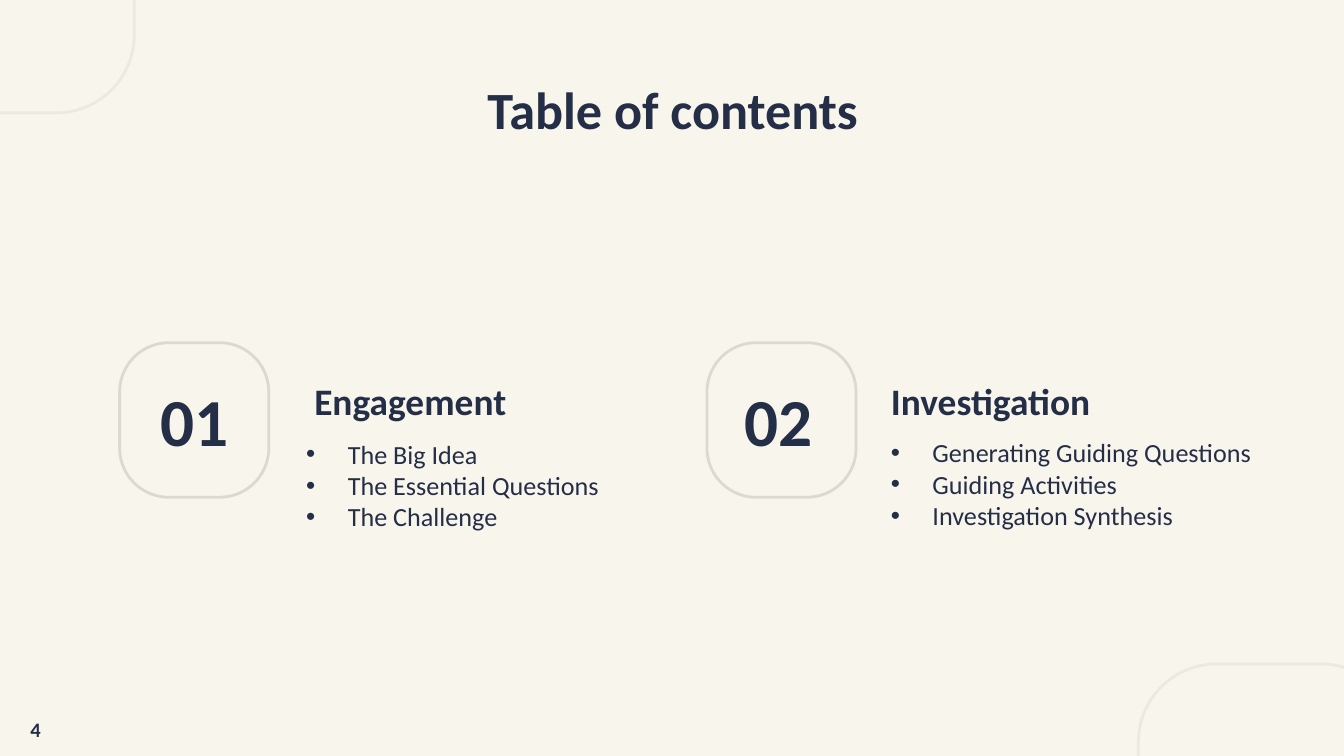
"""Build a table of contents slide with two numbered sections."""
import pptx
import pptx.dml.color
import pptx.enum.shapes
import pptx.enum.text
import pptx.oxml
import pptx.oxml.ns
import pptx.util

Inches = pptx.util.Inches
ALIGN = pptx.enum.text.PP_ALIGN
ANCHOR = pptx.enum.text.MSO_ANCHOR

CREAM = pptx.dml.color.RGBColor(0xF8, 0xF5, 0xEC)
PALE = pptx.dml.color.RGBColor(0xEC, 0xE9, 0xE1)
SAND = pptx.dml.color.RGBColor(0xDA, 0xDA, 0xCE)
NAVY = pptx.dml.color.RGBColor(0x25, 0x2E, 0x47)

NAMESPACE = pptx.oxml.ns.nsdecls("a")
BULLET_PARTS = [
    f'<a:buClr {NAMESPACE}><a:srgbClr val="{NAVY}"/></a:buClr>',
    f'<a:buFont {NAMESPACE} typeface="Arial"/>',
    f'<a:buChar {NAMESPACE} char="•"/>',
]


def add_outline(area, rounding, color):
    box = page.shapes.add_shape(
        pptx.enum.shapes.MSO_SHAPE.ROUNDED_RECTANGLE, *map(Inches, area))
    box.adjustments[0] = rounding
    box.shadow.inherit = False
    box.fill.background()
    box.line.color.rgb = color
    box.line.width = pptx.util.Pt(1.5)


def add_text(area, lines, size, bold=True, align=ALIGN.CENTER,
             anchor=ANCHOR.MIDDLE, bullets=False):
    box = page.shapes.add_textbox(*map(Inches, area))
    frame = box.text_frame
    frame_format = {"word_wrap": True, "vertical_anchor": anchor}
    for side in ("left", "top", "right", "bottom"):
        frame_format[f"margin_{side}"] = Inches(0.1)
    for name, value in frame_format.items():
        setattr(frame, name, value)
    font_format = {"name": "Calibri", "size": pptx.util.Pt(size), "bold": bold}
    for index, line in enumerate(lines):
        para = frame.add_paragraph() if index else frame.paragraphs[0]
        para.alignment = align
        if bullets:
            settings = para._p.get_or_add_pPr()
            settings.set("marL", str(Inches(0.31)))
            settings.set("indent", str(-Inches(0.31)))
            for part in BULLET_PARTS:
                settings.append(pptx.oxml.parse_xml(part))
        span = para.add_run()
        span.text = line
        for name, value in font_format.items():
            setattr(span.font, name, value)
        span.font.color.rgb = NAVY


deck = pptx.Presentation()
deck.slide_width = Inches(10)
deck.slide_height = deck.slide_width * 9 // 16
page = deck.slides.add_slide(deck.slide_layouts[6])
page.background.fill.solid()
page.background.fill.fore_color.rgb = CREAM

for left, top in ((-0.94, -1.48), (8.47, 4.94)):
    add_outline((left, top, 1.94, 2.32), 0.3, PALE)

add_text((0.79, 0.49, 8.43, 0.63), ["Table of contents"], 28)

sections = [
    {"number": "01", "heading": "Engagement",
     "topics": ["The Big Idea", "The Essential Questions", "The Challenge"],
     "frame_left": 0.89, "number_left": 0.87, "heading_left": 2.24,
     "topics_area": (2.18, 3.16, 2.77, 0.9)},
    {"number": "02", "heading": "Investigation",
     "topics": ["Generating Guiding Questions", "Guiding Activities",
                "Investigation Synthesis"],
     "frame_left": 5.26, "number_left": 5.22, "heading_left": 6.53,
     "topics_area": (6.53, 3.15, 3.41, 0.9)},
]
for section in sections:
    add_outline((section["frame_left"], 2.55, 1.11, 1.15), 0.33, SAND)
    add_text((section["number_left"], 2.55, 1.15, 1.15), [section["number"]], 36)
    add_text((section["heading_left"], 2.69, 2.52, 0.58), [section["heading"]],
             20, align=ALIGN.LEFT)
    add_text(section["topics_area"], section["topics"], 14, bold=False,
             align=ALIGN.LEFT, bullets=True)

add_text((0, 5.24, 0.53, 0.38), ["4"], 11, anchor=ANCHOR.TOP)

deck.save("out.pptx")
